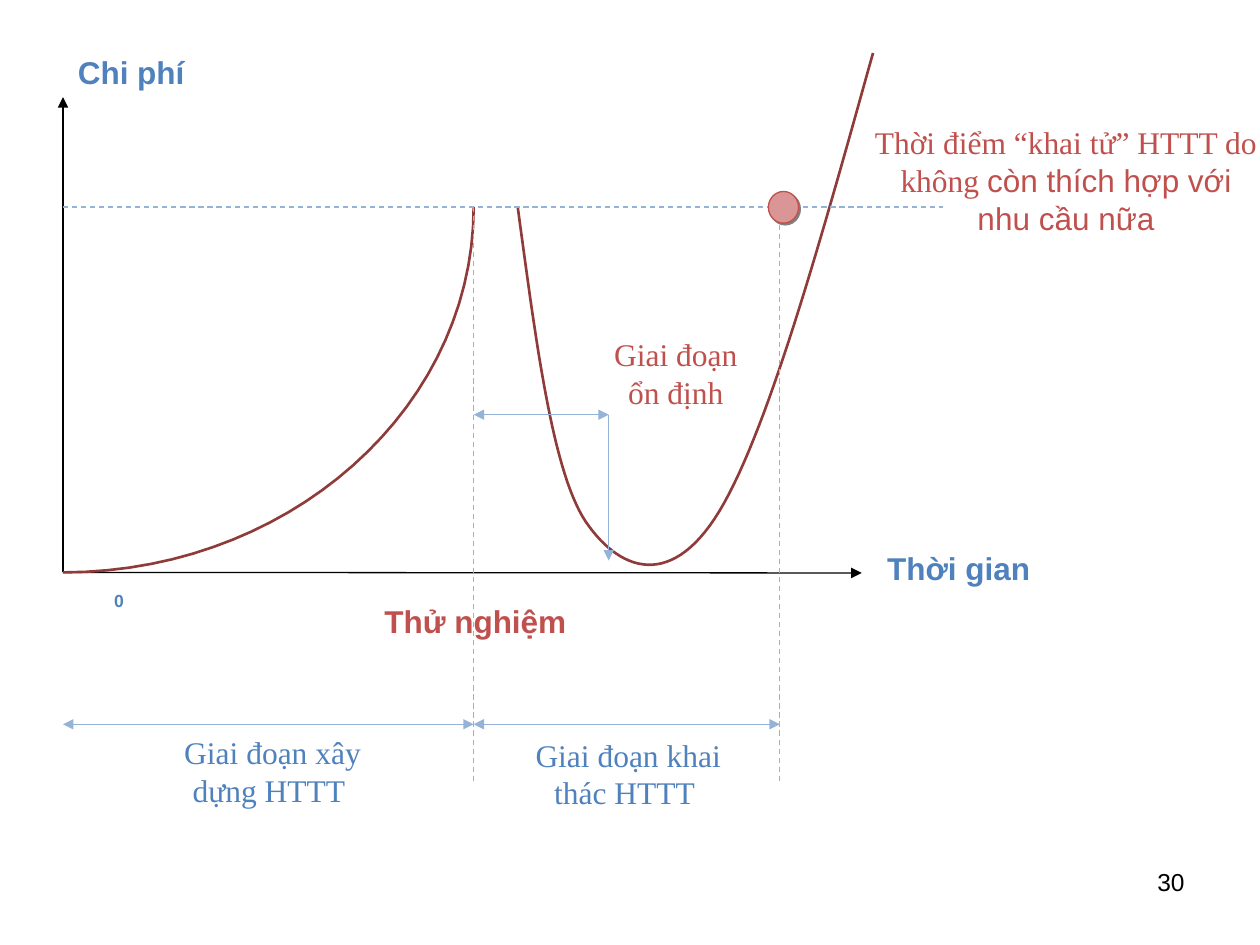
import pptx
import pptx.util
import pptx.dml.color
import pptx.enum.dml
import pptx.enum.shapes
import pptx.enum.text
import pptx.oxml
import pptx.oxml.ns
from pptx.util import Cm

BLUE, RED, BLACK = "4F81BD", "C0504D", "000000"
PALE_BLUE, DARK_RED = "95B3D7", "8F3B39"
SANS, SERIF = "Arial", "Times New Roman"

# Key positions of the diagram, in cm
ORIGIN_X, ORIGIN_Y = 1.27, 11.54
BUILD_END, STABLE_X, RETIRE_X = 9.55, 12.27, 15.72
LIMIT_Y, STABLE_Y, PHASE_Y, GUIDE_END = 4.17, 8.36, 14.6, 15.75


def rgb(value):
    return pptx.dml.color.RGBColor.from_string(value)


def add_effects(sp, content=""):
    ns = pptx.oxml.ns.nsdecls("a")
    xml = f"<a:effectLst {ns}>{content}</a:effectLst>"
    sp._element.spPr.append(pptx.oxml.parse_xml(xml))


def add_run(p, text, size=18, font=SANS, color=BLUE, bold=False):
    r = p.add_run()
    r.text = text
    r.font.size = pptx.util.Pt(size)
    r.font.name = font
    r.font.bold = bold
    r.font.color.rgb = rgb(color)


def add_label(s, box, *lines, align="CENTER", inset=(0, 0), **style):
    """Add a text box; each line is one paragraph."""
    sp = s.shapes.add_textbox(*map(Cm, box))
    tf = sp.text_frame
    tf.word_wrap = True
    tf.margin_left = tf.margin_right = Cm(inset[0])
    tf.margin_top = tf.margin_bottom = Cm(inset[1])
    for i, line in enumerate(lines):
        p = tf.add_paragraph() if i else tf.paragraphs[0]
        p.alignment = pptx.enum.text.PP_ALIGN[align]
        add_run(p, line, **style)
    return tf


def add_line(s, start, end, color=PALE_BLUE, dash=False, head=False, tail=False):
    sp = s.shapes.add_connector(
        pptx.enum.shapes.MSO_CONNECTOR.STRAIGHT, *map(Cm, (*start, *end)))
    sp.line.color.rgb = rgb(color)
    sp.line.width = pptx.util.Pt(0.75)
    if dash:
        sp.line.dash_style = pptx.enum.dml.MSO_LINE.DASH
    for tag, wanted in (("headEnd", head), ("tailEnd", tail)):
        if wanted:
            ns = pptx.oxml.ns.nsdecls("a")
            sp.line._get_or_add_ln().append(
                pptx.oxml.parse_xml(f'<a:{tag} {ns} type="triangle"/>'))
    add_effects(sp)


def bezier(points, t):
    """Return the point at t on a cubic curve."""
    u = 1 - t
    weights = (u ** 3, 3 * u * u * t, 3 * u * t * t, t ** 3)
    return tuple(sum(w * pt[axis] for w, pt in zip(weights, points))
                 for axis in (0, 1))


def add_curve(s, points, steps=30):
    """Draw joined cubic curves through every third point."""
    # The builder rounds to whole units, so work in EMU
    points = [(Cm(x), Cm(y)) for x, y in points]
    outline = [bezier(points[i:i + 4], k / steps)
               for i in range(0, len(points) - 1, 3)
               for k in range(1, steps + 1)]
    builder = s.shapes.build_freeform(*points[0])
    builder.add_line_segments(outline, close=False)
    sp = builder.convert_to_shape()
    sp.shadow.inherit = False
    sp.fill.background()
    sp.line.color.rgb = rgb(DARK_RED)
    sp.line.width = pptx.util.Pt(1.5)


def add_marker(s, box):
    sp = s.shapes.add_shape(pptx.enum.shapes.MSO_SHAPE.OVAL, *map(Cm, box))
    sp.fill.solid()
    sp.fill.fore_color.rgb = rgb("D99694")
    sp.line.color.rgb = rgb(RED)
    sp.line.width = pptx.util.Pt(0.75)
    add_effects(sp, '<a:outerShdw dist="17961" dir="2700000">'
                    '<a:srgbClr val="808080"/></a:outerShdw>')


def main():
    prs = pptx.Presentation()
    prs.slide_width, prs.slide_height = Cm(25.4), Cm(19.05)
    s = prs.slides.add_slide(prs.slide_layouts[6])

    # Slide number
    add_label(s, (18.21, 17.35, 5.92, 1.32), "30", align="RIGHT",
              inset=(0.25, 0.13), size=14, color=BLACK)

    # Operating cost curve
    add_curve(s, [(10.44, 4.19), (10.8, 6.83), (11.13, 9.5), (11.81, 10.52),
                  (12.5, 11.53), (13.54, 11.89), (14.5, 10.31),
                  (15.47, 8.71), (16.54, 4.88), (17.6, 1.07)])

    # Axes and their labels
    origin = (ORIGIN_X, ORIGIN_Y)
    for end in ((17.37, 11.55), (ORIGIN_X, 1.96)):
        add_line(s, origin, end, color=BLACK, tail=True)
    add_label(s, (1.5, 11.89, 1.8, 0.43), "0", size=10, bold=True)
    add_label(s, (1.5, 1.07, 2.29, 0.76), "Chi phí", bold=True)
    add_label(s, (17.37, 11.07, 4.09, 0.76), "Thời gian ", bold=True)

    # Building cost curve
    add_curve(s, [origin, (5.84, ORIGIN_Y), (BUILD_END, 8.23),
                  (BUILD_END, LIMIT_Y)])

    # Dashed guides
    add_line(s, (ORIGIN_X, LIMIT_Y), (19, LIMIT_Y), dash=True)
    for x in (BUILD_END, RETIRE_X):
        add_line(s, (x, LIMIT_Y), (x, GUIDE_END), dash=True)

    # Trial and retirement points
    add_label(s, (7.54, 12.14, 4.09, 0.76), "Thử nghiệm", color=RED, bold=True)
    tf = add_label(s, (17.58, 2.49, 7.82, 2.29),
                   "Thời điểm “khai tử” HTTT do không ", font=SERIF, color=RED)
    add_run(tf.paragraphs[0], "còn thích hợp với nhu cầu nữa", color=RED)
    add_marker(s, (15.49, 3.86, 0.61, 0.64))

    # Phase spans
    for left, right, y in ((ORIGIN_X, BUILD_END, PHASE_Y),
                           (BUILD_END, RETIRE_X, PHASE_Y),
                           (BUILD_END, STABLE_X, STABLE_Y)):
        add_line(s, (left, y), (right, y), head=True, tail=True)
    add_line(s, (STABLE_X, STABLE_Y), (STABLE_X, 11.3), tail=True)

    # Phase labels
    add_label(s, (3.45, 14.78, 4.09, 1.52), "Giai đoạn xây dựng HTTT ", font=SERIF)
    add_label(s, (10.62, 14.83, 4.09, 1.52), "Giai đoạn khai thác HTTT ", font=SERIF)
    add_label(s, (12.01, 6.76, 3.23, 1.52), "Giai đoạn", "ổn định",
              font=SERIF, color=RED)

    prs.save("out.pptx")


if __name__ == "__main__":
    main()
